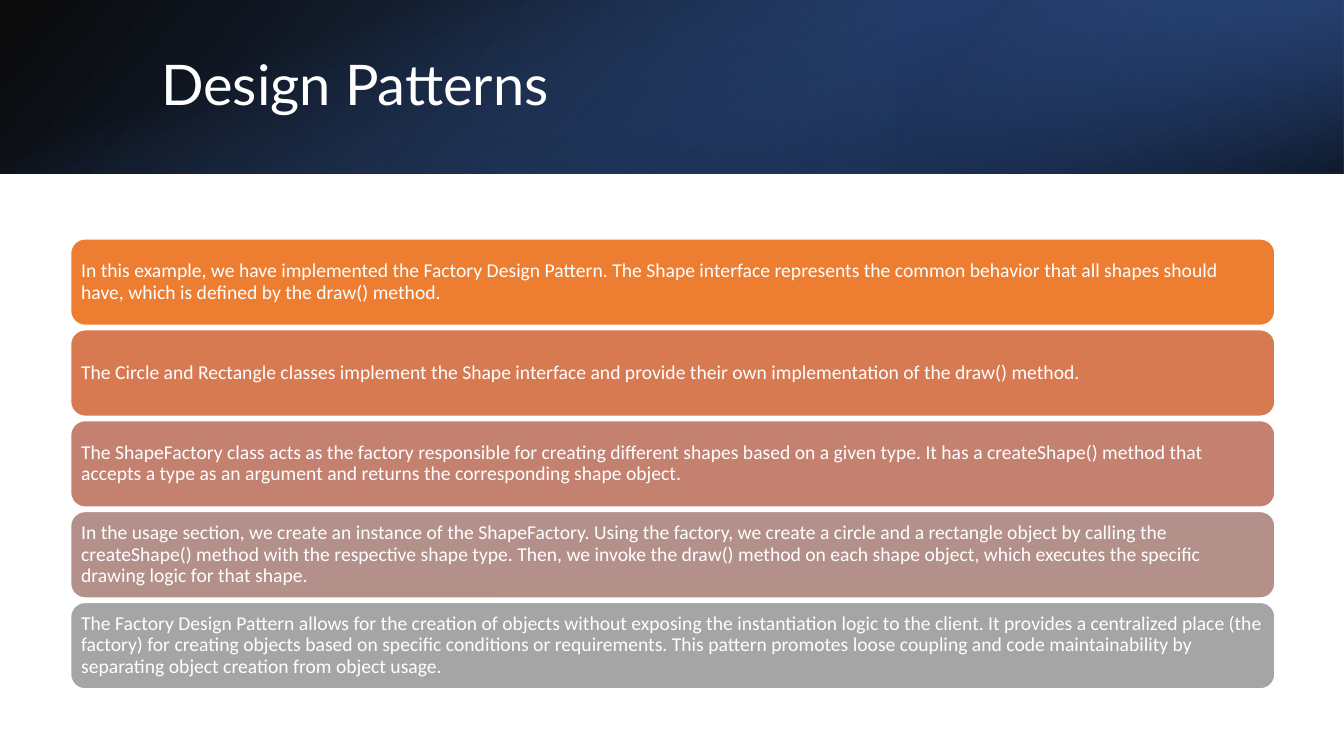
from lxml import etree
from pptx import Presentation
from pptx.dml.color import RGBColor
from pptx.enum.shapes import MSO_SHAPE
from pptx.enum.text import MSO_ANCHOR, MSO_AUTO_SIZE, PP_ALIGN
from pptx.oxml.ns import qn
from pptx.util import Cm, Pt

RECT = MSO_SHAPE.RECTANGLE
ROUND = MSO_SHAPE.ROUNDED_RECTANGLE
MIDDLE = MSO_ANCHOR.MIDDLE
LEFT = PP_ALIGN.LEFT
FIXED = MSO_AUTO_SIZE.NONE

WIDE, HIGH = 33.87, 19.05
WHITE = "FFFFFF"
CARDS = [
    ("ED7D31", "In this example, we have implemented the Factory Design Pattern. "
     "The Shape interface represents the common behavior that all shapes should "
     "have, which is defined by the draw() method."),
    ("D87A51", "The Circle and Rectangle classes implement the Shape interface "
     "and provide their own implementation of the draw() method."),
    ("C48170", "The ShapeFactory class acts as the factory responsible for "
     "creating different shapes based on a given type. It has a createShape() "
     "method that accepts a type as an argument and returns the corresponding "
     "shape object."),
    ("B4908B", "In the usage section, we create an instance of the ShapeFactory. "
     "Using the factory, we create a circle and a rectangle object by calling "
     "the createShape() method with the respective shape type. Then, we invoke "
     "the draw() method on each shape object, which executes the specific "
     "drawing logic for that shape."),
    ("A5A5A5", "The Factory Design Pattern allows for the creation of objects "
     "without exposing the instantiation logic to the client. It provides a "
     "centralized place (the factory) for creating objects based on specific "
     "conditions or requirements. This pattern promotes loose coupling and code "
     "maintainability by separating object creation from object usage."),
]


def paint(target, tint):
    target.rgb = RGBColor.from_string(tint)


def add_box(slide, kind, box):
    shape = slide.shapes.add_shape(kind, *map(Cm, box))
    shape.shadow.inherit = False
    return shape


def style(para, font, size):
    para.alignment = LEFT
    para.line_spacing = 0.9
    para.font.name = font
    para.font.size = Pt(size)
    paint(para.font.color, WHITE)


def add_layer(slide, box, stops, angle, turn=0, flip=False):
    layer = add_box(slide, RECT, box)
    layer.line.fill.background()
    layer.rotation = turn
    if flip:
        layer.element.spPr.xfrm.set("flipH", "1")
    layer.fill.gradient()
    layer.fill.gradient_angle = 360 - angle
    for stop, (place, tint, _) in zip(layer.fill.gradient_stops, stops):
        stop.position = place / 100
        paint(stop.color, tint)
    tints = layer.element.spPr.iter(qn("a:srgbClr"))
    for node, (_, _, alpha) in zip(list(tints), stops):
        etree.SubElement(node, qn("a:alpha")).set("val", str(alpha * 1000))


def add_banner(slide, box):
    left, top, width, height = box
    third = width / 3
    shift = (width - height) / 2
    add_layer(slide, box, [(0, "000000", 96), (100, "2F5597", 100)], 140, flip=True)
    add_layer(slide, (left + width - third, top, third, height),
              [(19, "203864", 68), (100, "4472C4", 79)], 320, 180, True)
    add_layer(slide, (left + shift, top - shift, height, width),
              [(23, "4472C4", 0), (99, "000000", 74)], 340, 90)
    title = slide.shapes.title
    title.left, title.top = Cm(left + 3.81), Cm(top + 0.97)
    title.width, title.height = Cm(27.89), Cm(2.44)
    frame = title.text_frame
    frame.text = "Design Patterns"
    frame.auto_size = FIXED
    frame.vertical_anchor = MIDDLE
    style(frame.paragraphs[0], "Lato", 40)
    title.element.getparent().append(title.element)


def add_cards(slide, box):
    left, top, width, height = box
    gap = 0.11
    tall = (height - gap * (len(CARDS) - 1)) / len(CARDS)
    for row, (tint, text) in enumerate(CARDS):
        card = add_box(slide, ROUND, (left, top + row * (tall + gap), width, tall))
        card.fill.solid()
        paint(card.fill.fore_color, tint)
        paint(card.line.color, WHITE)
        card.line.width = Pt(1)
        frame = card.text_frame
        frame.text = text
        frame.word_wrap = True
        frame.vertical_anchor = MIDDLE
        frame.margin_left = frame.margin_right = Cm(0.16)
        frame.margin_top = frame.margin_bottom = Cm(0.16)
        style(frame.paragraphs[0], "Calibri", 14)


deck = Presentation()
deck.slide_width, deck.slide_height = Cm(WIDE), Cm(HIGH)
page = deck.slides.add_slide(deck.slide_layouts[5])
add_banner(page, (0, 0, WIDE, 4.37))
add_cards(page, (1.78, 6.02, 30.35, 11.34))
deck.save("out.pptx")
